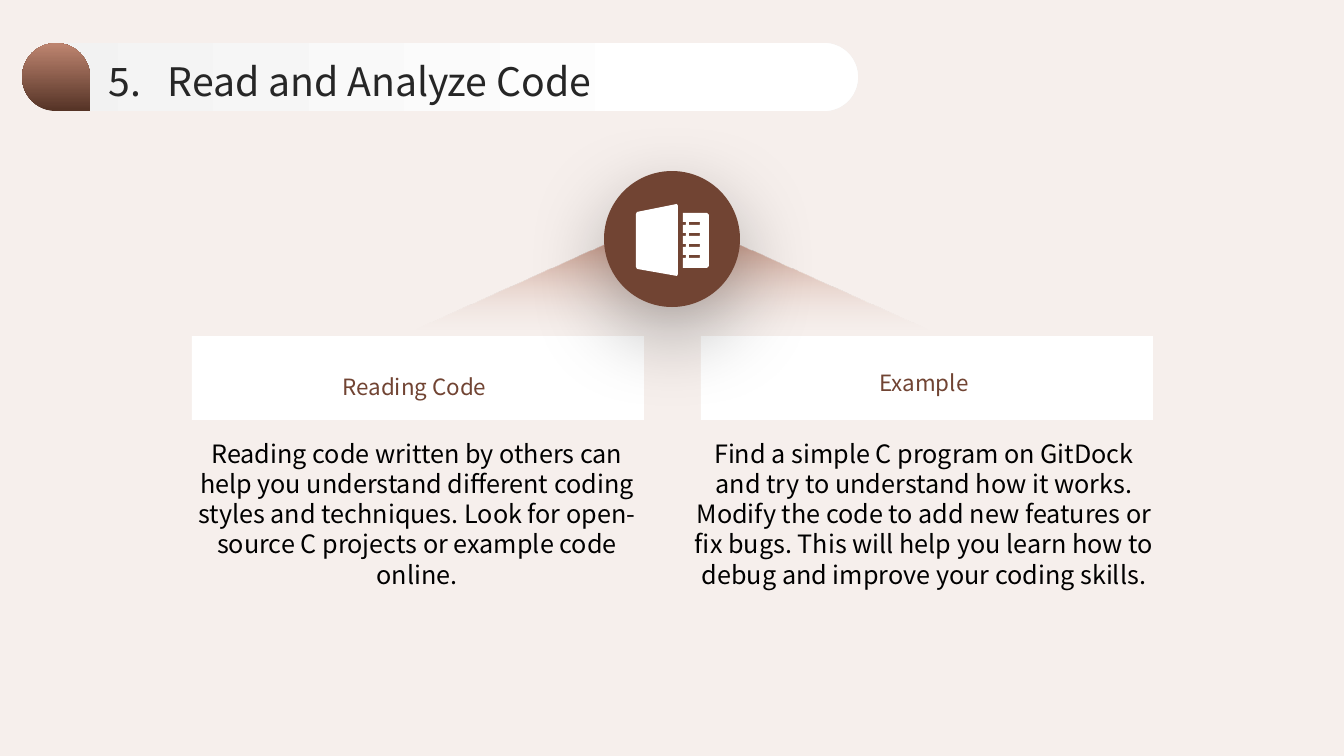
from lxml import etree
from pptx import Presentation
from pptx import util as u
from pptx.dml import color
from pptx.enum import shapes, text
from pptx.oxml import ns

PX = 914400 / 100.8
FONT = "Noto Sans CJK SC"
KIND = shapes.MSO_SHAPE


def px(n):
    return u.Emu(round(n * PX))


def rgb(code):
    return color.RGBColor.from_string(code)


def sub(node, tag, **attrs):
    return etree.SubElement(node, ns.qn(tag), attrs)


def fade(shape, pct):
    tint = list(shape._element.spPr.iter(ns.qn("a:srgbClr")))[-1]
    sub(tint, "a:alpha", val=str(pct * 1000))


def paint(shape, fill):
    shape.shadow.inherit = False
    if isinstance(fill, str):
        shape.fill.solid()
        shape.fill.fore_color.rgb = rgb(fill)
    else:
        angle, *stops = fill
        shape.fill.gradient()
        shape.fill.gradient_angle = -angle % 360
        for stop, (pos, code) in zip(shape.fill.gradient_stops, stops):
            stop.position = pos / 100
            stop.color.rgb = rgb(code)
    shape.line.fill.background()
    return shape


def draw(slide, kind, x, y, w, h, fill):
    shape = slide.shapes.add_shape(kind, px(x), px(y), px(w), px(h))
    return paint(shape, fill)


def write(slide, x, y, w, h, words, size, code, space, mid=True, pad=0, center=True, tab=0):
    frame = slide.shapes.add_textbox(px(x), px(y), px(w), px(h)).text_frame
    frame.word_wrap = True
    frame.margin_left = frame.margin_right = 0
    frame.margin_top = frame.margin_bottom = px(pad)
    frame.vertical_anchor = text.MSO_ANCHOR.MIDDLE if mid else text.MSO_ANCHOR.TOP
    frame.text = words
    para = frame.paragraphs[0]
    para.alignment = text.PP_ALIGN.CENTER if center else text.PP_ALIGN.LEFT
    para.line_spacing = space
    if tab:
        tabs = sub(para._p.get_or_add_pPr(), "a:tabLst")
        sub(tabs, "a:tab", pos=str(px(tab)), algn="l")
    for run in para.runs:
        run.font.name = FONT
        run.font.size = u.Pt(size)
        run.font.color.rgb = rgb(code)


def title(slide, x, y, w, h, words):
    bar = draw(slide, KIND.ROUNDED_RECTANGLE, x, y, w, h, (0, (0, "F2F2F2"), (80, "FFFFFF")))
    bar.adjustments[0] = 0.5
    drop = draw(slide, KIND.TEAR, x, y, h, h, (90, (0, "553326"), (100, "BE8570")))
    drop.rotation = 180
    drop._element.spPr.xfrm.set("flipH", "1")
    write(slide, x + 87, y + 10, 1198, 51, words, 28, "262626", 1.1, center=False, tab=59)


def icon(slide, x, y):
    rows = [y + 18 + 11 * i for i in range(4)]
    left, right, top, end = x + 47, x + 73, y + 9, y + 64
    page = [(left, top), (right - 2, top), (right, top + 2),
            (right, end - 2), (right - 2, end), (left, end)]
    for row in reversed(rows):
        page += [(left, row + 3), (left + 3, row + 3), (left + 3, row), (left, row)]
    door = [(x + 1, y + 8), (x + 41, y), (x + 42, y + 2), (x + 42, y + 70),
            (x + 41, y + 72), (x + 1, y + 65), (x, y + 63), (x, y + 10)]
    slots = [[(x + 53, row), (x + 53, row + 3), (x + 64, row + 3), (x + 64, row)]
             for row in rows]
    first, *rest = slots + [page, door]
    pen = slide.shapes.build_freeform(*first[0], scale=PX)
    pen.add_line_segments(first[1:])
    for points in rest:
        pen.move_to(*points[0])
        pen.add_line_segments(points[1:])
    paint(pen.convert_to_shape(), "FFFFFF")


def beam(slide, x, y, w, h):
    cone = draw(slide, KIND.ISOSCELES_TRIANGLE, x, y, w, h, (90, (8, "BE8570"), (71, "E9D6CF")))
    fade(cone, 0)


def badge(slide, x, y, size):
    disc = draw(slide, KIND.OVAL, x, y, size, size, "714433")
    glow = sub(disc._element.spPr.find(ns.qn("a:effectLst")), "a:outerShdw",
               blurRad=str(u.Pt(60)), dist=str(u.Pt(20)), dir="5400000",
               algn="t", rotWithShape="0")
    sub(glow, "a:srgbClr", val="000000")
    fade(disc, 30)
    icon(slide, x + 32, y + 33)


def column(slide, x, y, w, top, head, body):
    write(slide, x, y + top, w, 75, head, 16, "714433", 1.3)
    write(slide, x, y + 98, w, 232, body, 18, "000000", 1.0, mid=False, pad=4)


def main():
    deck = Presentation()
    deck.slide_width, deck.slide_height = px(1344), px(756)
    slide = deck.slides.add_slide(deck.slide_layouts[6])
    fade(draw(slide, KIND.RECTANGLE, 0, 0, 1344, 756, "E9D6CF"), 39)
    beam(slide, 310, 215, 723, 162)
    for x in (701, 192):
        draw(slide, KIND.RECTANGLE, x, 336, 452, 84, "FFFFFF")
    badge(slide, 604, 171, 136)
    column(slide, 190, 336, 454, 9, "Reading Code ",
           "Reading code written by others can help you understand different coding "
           "styles and techniques. Look for open-source C projects or example code online.")
    column(slide, 695, 336, 458, 5, "Example",
           "Find a simple C program on GitDock and try to understand how it works. "
           "Modify the code to add new features or fix bugs. This will help you learn "
           "how to debug and improve your coding skills.")
    title(slide, 22, 43, 836, 68, "5.\tRead and Analyze Code")
    deck.save("out.pptx")


if __name__ == "__main__":
    main()
